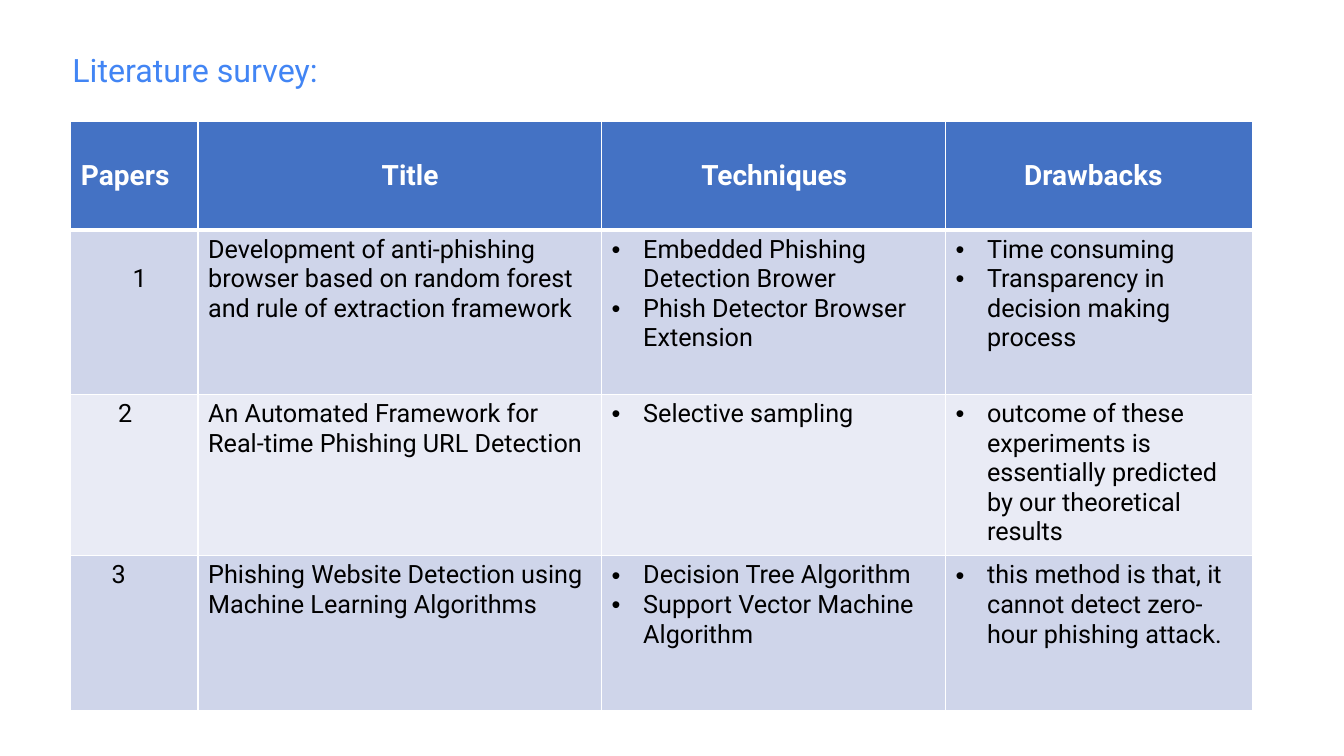
from lxml import etree
from pptx import Presentation
from pptx.dml.color import RGBColor
from pptx.enum.text import MSO_ANCHOR
from pptx.oxml.ns import qn
from pptx.util import Pt

MIDDLE, TOP = MSO_ANCHOR.MIDDLE, MSO_ANCHOR.TOP
FONT = "Roboto"
COLORS = {
    "title": "4285F4",
    "header": "4472C4",
    "band_dark": "CFD5EA",
    "band_light": "E9EBF5",
    "text": "000000",
    "white": "FFFFFF",
}


def style(p, size, color, bold=False):
    p.font.name = FONT
    p.font.size = Pt(size)
    p.font.bold = bold
    p.font.color.rgb = RGBColor.from_string(COLORS[color])


def add_border(cell, side, width):
    ln = etree.SubElement(cell._tc.get_or_add_tcPr(), qn("a:" + side), w=str(Pt(width)))
    fill = etree.SubElement(ln, qn("a:solidFill"))
    etree.SubElement(fill, qn("a:srgbClr"), val=COLORS["white"])


prs = Presentation()
prs.slide_width, prs.slide_height = Pt(960), Pt(540)
s = prs.slides.add_slide(prs.slide_layouts[6])

# Heading
tf = s.shapes.add_textbox(Pt(44.64), Pt(32.4), Pt(232), Pt(35.3)).text_frame
tf.word_wrap = True
p = tf.paragraphs[0]
p.text = "Literature survey:"
style(p, 23, "title")

# Survey content: header, then one row per paper; lists become bullets
rows = [
    ["Papers", "Title", "Techniques", "Drawbacks"],
    ["1",
     "Development of anti-phishing browser based on random forest and rule of extraction framework",
     ["Embedded Phishing Detection Brower", "Phish Detector Browser Extension"],
     ["Time consuming", "Transparency in decision making process"]],
    ["2",
     "An Automated Framework for Real-time Phishing URL Detection",
     ["Selective sampling"],
     ["outcome of these experiments is essentially predicted by our theoretical results"]],
    ["3",
     "Phishing Website Detection using Machine Learning Algorithms",
     ["Decision Tree Algorithm", "Support Vector Machine Algorithm"],
     ["this method is that, it cannot detect zero-hour phishing attack."]],
]
col_widths = [90.9, 288.3, 245.6, 219.4]
row_heights = [77.4, 117.4, 115.2, 111]
header_indents = [0, 124, 64, 49]
number_indents = [0, 37, 26.5, 22]
BULLET_INDENT = 22.5

# Table
table = s.shapes.add_table(len(rows), len(col_widths), Pt(50.6), Pt(86.8),
                           Pt(sum(col_widths)), Pt(sum(row_heights))).table
for column, width in zip(table.columns, col_widths):
    column.width = Pt(width)
for row, height in zip(table.rows, row_heights):
    row.height = Pt(height)

for i, contents in enumerate(rows):
    band = "header" if i == 0 else "band_dark" if i % 2 else "band_light"
    for j, content in enumerate(contents):
        cell = table.cell(i, j)
        cell.vertical_anchor = MIDDLE if i == 0 else TOP

        # White rules, thicker beneath the header
        add_border(cell, "lnL", 1)
        add_border(cell, "lnR", 1)
        add_border(cell, "lnT", 3 if i == 1 else 1)
        add_border(cell, "lnB", 3 if i == 0 else 1)
        cell.fill.solid()
        cell.fill.fore_color.rgb = RGBColor.from_string(COLORS[band])

        # Text, indents and bullets
        bulleted = isinstance(content, list)
        cell.text = "\n".join(content) if bulleted else content
        for p in cell.text_frame.paragraphs:
            pPr = p._p.get_or_add_pPr()
            if i == 0:
                style(p, 20, "white", bold=True)
                pPr.set("marL", str(Pt(header_indents[j])))
            else:
                style(p, 18, "text")
            if i and j == 0:
                pPr.set("marL", str(Pt(number_indents[i])))
                if i == 1:
                    p.line_spacing = 2.0
            if bulleted:
                pPr.set("marL", str(Pt(BULLET_INDENT)))
                pPr.set("indent", str(-Pt(BULLET_INDENT)))
                bullet = etree.Element(qn("a:buChar"), char="•")
                pPr.insert(0, bullet)
                bullet.addprevious(etree.Element(qn("a:buFont"), typeface="Arial"))

prs.save("out.pptx")
